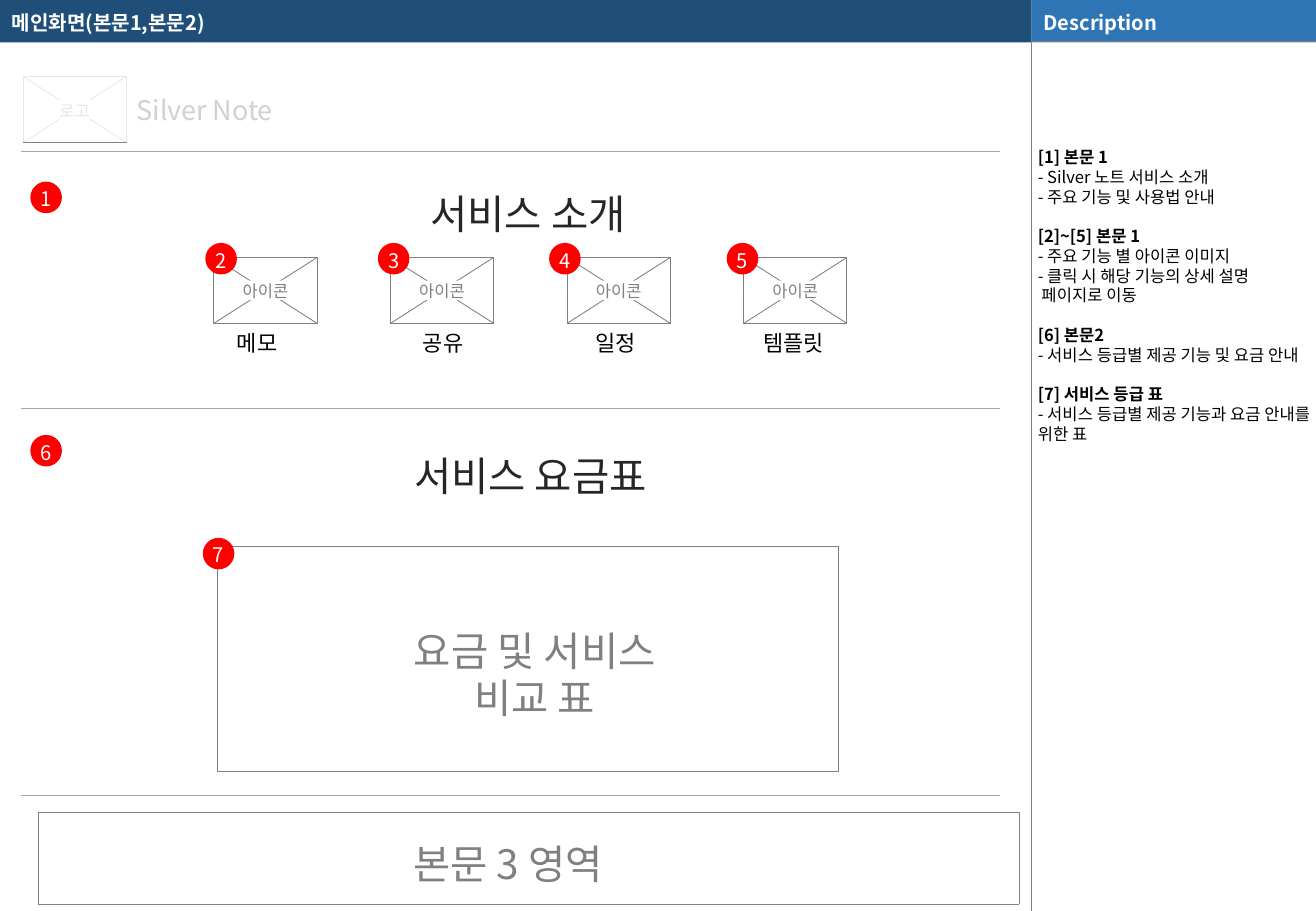
from lxml.etree import SubElement
from pptx import Presentation
from pptx.dml.color import RGBColor
from pptx.enum.shapes import MSO_CONNECTOR as Connector, MSO_SHAPE as Shape
from pptx.enum.text import MSO_ANCHOR as Anchor, PP_ALIGN as Align
from pptx.oxml.ns import qn
from pptx.util import Pt

FONT = "Noto Sans CJK KR"
COLORS = {
    "navy": "1F4E79", "blue": "2E75B6", "white": "FFFFFF", "black": "000000",
    "ink": "262626", "gray": "808080", "rule": "A6A6A6", "red": "FF0000",
}
TITLE = "메인화면(본문1,본문2)"
NOTES = [
    ("[1] 본문 1", ["- Silver 노트 서비스 소개", "- 주요 기능 및 사용법 안내"]),
    ("[2]~[5] 본문 1", ["- 주요 기능 별 아이콘 이미지", "- 클릭 시 해당 기능의 상세 설명", " 페이지로 이동"]),
    ("[6] 본문2", ["- 서비스 등급별 제공 기능 및 요금 안내"]),
    ("[7] 서비스 등급 표", ["- 서비스 등급별 제공 기능과 요금 안내를 위한 표"]),
]
FEATURES = [("메모", 140.4, 36.7), ("공유", 250.6, 36.7), ("일정", 352.8, 36.7), ("템플릿", 452.2, 44.6)]
BADGES = [
    ("1", 18, 107.7), ("2", 121.7, 144), ("3", 223.9, 144), ("4", 325.4, 144),
    ("5", 430.6, 144), ("6", 18, 257.8), ("7", 120.2, 318.8),
]
SECTION_RULES = [90, 241.9, 471.6]
FRAMES = [(128.9, 324, 367.9, 133.2), (22.6, 481.7, 581, 54)]
PAGE_WIDTH, PAGE_HEIGHT = 779.76, 540
PANEL_LEFT = 611.3
HEADER_HEIGHT = 25.2
ICON_LEFT, ICON_TOP, ICON_PITCH = 126.7, 152.6, 104.65
ICON_WIDTH, ICON_HEIGHT = 61.2, 39.1
BADGE_SIZE = 18.7

deck = Presentation()
deck.slide_width, deck.slide_height = Pt(PAGE_WIDTH), Pt(PAGE_HEIGHT)
page = deck.slides.add_slide(deck.slide_layouts[6])


def color(name):
    return RGBColor.from_string(COLORS[name])


def add_shape(left, top, width, height, fill, line=None, kind=Shape.RECTANGLE):
    shape = page.shapes.add_shape(kind, Pt(left), Pt(top), Pt(width), Pt(height))
    shape.shadow.inherit = False
    shape.fill.solid()
    shape.fill.fore_color.rgb = color(fill)
    if line:
        shape.line.color.rgb = color(line)
        shape.line.width = Pt(0.5)
    else:
        shape.line.fill.background()
    return shape


def add_text_box(left, top, width, height):
    return page.shapes.add_textbox(Pt(left), Pt(top), Pt(width), Pt(height))


def add_line(x1, y1, x2, y2, name, weight=0.5):
    line = page.shapes.add_connector(Connector.STRAIGHT, Pt(x1), Pt(y1), Pt(x2), Pt(y2))
    line.line.color.rgb = color(name)
    line.line.width = Pt(weight)
    SubElement(line._element.spPr, qn("a:effectLst"))


def style(para, size, name, bold=False, align=Align.LEFT, spacing=1.34):
    para.alignment = align
    para.line_spacing = Pt(round(size * spacing, 1))
    font = para.font
    font.name, font.size, font.bold = FONT, Pt(size), bold
    font.color.rgb = color(name)
    defaults = para._p.get_or_add_pPr().find(qn("a:defRPr"))
    SubElement(defaults, qn("a:ea")).set("typeface", FONT)


def prepare(box, inset=0, right=0, wrap=True, anchor=Anchor.MIDDLE):
    frame = box.text_frame
    frame.word_wrap = wrap
    frame.vertical_anchor = anchor
    frame.margin_left, frame.margin_right = Pt(inset), Pt(right)
    frame.margin_top = frame.margin_bottom = 0
    return frame


def write(box, text, size, name, inset=0, wrap=True, **look):
    para = prepare(box, inset, inset, wrap).paragraphs[0]
    para.text = text
    style(para, size, name, **look)


def add_crossed_box(left, top, text, label_width):
    right, bottom = left + ICON_WIDTH, top + ICON_HEIGHT
    add_shape(left, top, ICON_WIDTH, ICON_HEIGHT, "white", "gray")
    add_line(left, bottom, right, top, "gray")
    add_line(right, bottom, left, top, "gray")
    label = add_shape(left + (ICON_WIDTH - label_width) / 2, top + 13.7, label_width, 11.5, "white")
    write(label, text, 9.8, "gray", wrap=False, align=Align.CENTER)


def add_frame(left, top, width, height):
    graphic = page.shapes.add_table(1, 1, Pt(left), Pt(top), Pt(width), Pt(height))
    cell = graphic.table.cell(0, 0)
    graphic.table.first_row = graphic.table.horz_banding = False
    cell.fill.background()
    properties = cell._tc.get_or_add_tcPr()
    for index, side in enumerate(("lnL", "lnR", "lnT", "lnB")):
        border = properties.makeelement(qn(f"a:{side}"), {"w": str(Pt(0.25))})
        fill = SubElement(border, qn("a:solidFill"))
        SubElement(fill, qn("a:srgbClr")).set("val", COLORS["gray"])
        properties.insert(index, border)


panel_width = PAGE_WIDTH - PANEL_LEFT
title_bar = add_shape(0, 0, PANEL_LEFT, HEADER_HEIGHT, "navy")
write(title_bar, TITLE, 11.9, "white", inset=7.2, bold=True)
add_shape(PANEL_LEFT, 0, panel_width, HEADER_HEIGHT, "gray")
add_line(PANEL_LEFT, 24.5, PANEL_LEFT, PAGE_HEIGHT, "gray", 0.25)
panel_bar = add_shape(PANEL_LEFT, 0, panel_width, 24.5, "blue")
write(panel_bar, "Description", 11.9, "white", inset=7.2, bold=True)

notes_frame = prepare(add_text_box(612, 87.3, 166.3, 180), inset=2.9, anchor=Anchor.TOP)
for number, (heading, lines) in enumerate(NOTES):
    for row, text in enumerate([heading, *lines]):
        para = notes_frame.add_paragraph() if number or row else notes_frame.paragraphs[0]
        para.text = text
        if number and not row:
            para.space_before = Pt(11.7)
        style(para, 9.8, "black", bold=not row, spacing=1.19)

write(add_text_box(59.8, 50.4, 123.1, 26.6), "Silver Note", 16, "black", align=Align.CENTER)
add_crossed_box(13.7, 45.4, "로고", 31.7)
veil = add_shape(9.4, 36, 594, 48.2, "white")
veil_color = veil._element.spPr.find(qn("a:solidFill"))[0]
SubElement(veil_color, qn("a:alpha")).set("val", "82000")

for y in SECTION_RULES:
    add_line(12.2, y, 592.6, y, "rule")
for frame in FRAMES:
    add_frame(*frame)

write(add_shape(244.8, 110.2, 136.1, 28.8, "white"), "서비스 소개", 24, "ink", align=Align.CENTER)
write(add_shape(228.2, 265.7, 172.1, 28.8, "white"), "서비스 요금표", 24, "ink", align=Align.CENTER)
write(add_shape(231.1, 370.6, 171.4, 58.3, "white"), "요금 및 서비스 비교 표", 24, "gray",
      align=Align.CENTER, spacing=1.17)
write(add_shape(244.8, 495.4, 136.1, 28.8, "white"), "본문 3 영역", 24, "gray")

for index, (name, left, width) in enumerate(FEATURES):
    add_crossed_box(ICON_LEFT + index * ICON_PITCH, ICON_TOP, "아이콘", 40.3)
    write(add_text_box(left, 194.4, width, 15.8), name, 13, "black")

for number, left, top in BADGES:
    badge = add_shape(left, top, BADGE_SIZE, BADGE_SIZE, "red", kind=Shape.OVAL)
    write(badge, number, 11.9, "white", wrap=False, align=Align.CENTER)

deck.save("out.pptx")
